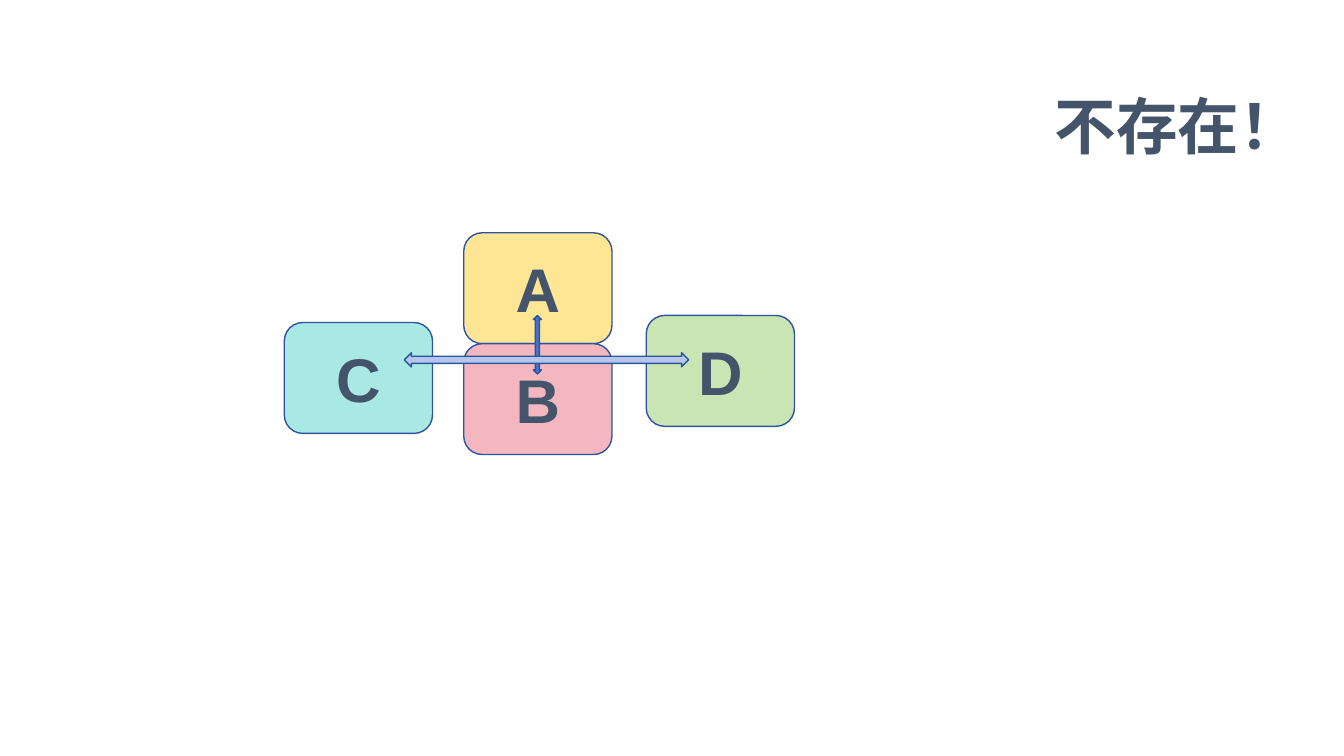
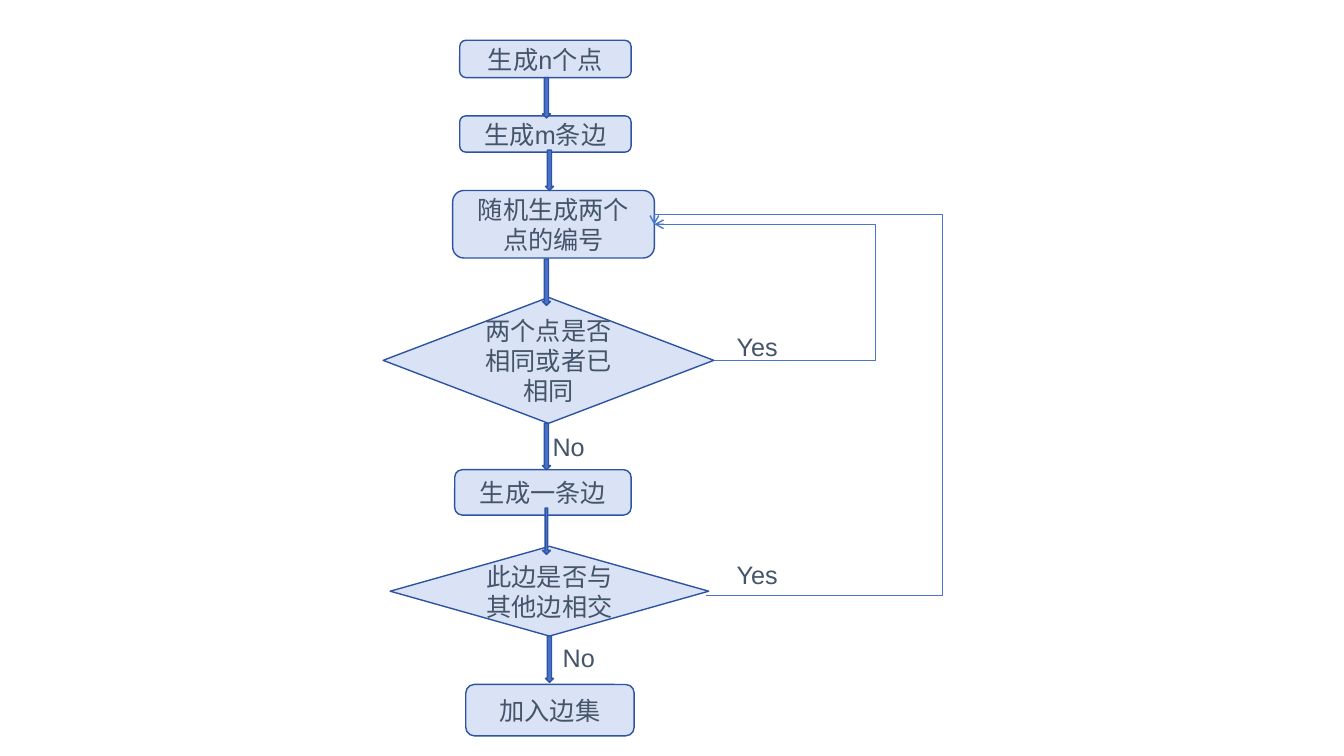
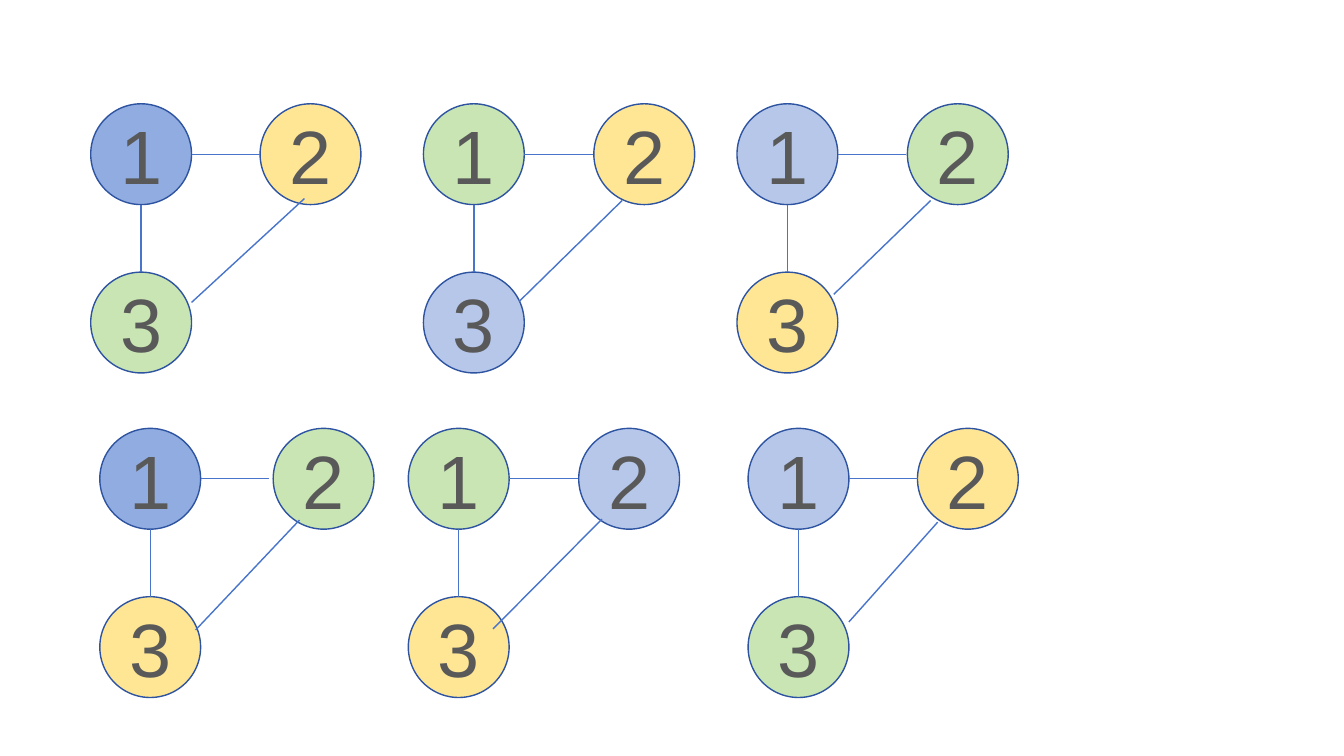
from lxml import etree
from pptx import Presentation
from pptx.dml.color import RGBColor
from pptx.enum.lang import MSO_LANGUAGE_ID
from pptx.enum.shapes import MSO_CONNECTOR, MSO_SHAPE
from pptx.enum.text import MSO_ANCHOR, MSO_AUTO_SIZE, PP_ALIGN
from pptx.oxml.ns import qn
from pptx.util import Inches, Pt

ROUNDED = MSO_SHAPE.ROUNDED_RECTANGLE
DIAMOND = MSO_SHAPE.DIAMOND
OVAL = MSO_SHAPE.OVAL
DOWN_ARROW = MSO_SHAPE.DOWN_ARROW
UP_DOWN_ARROW = MSO_SHAPE.UP_DOWN_ARROW
LEFT_RIGHT_ARROW = MSO_SHAPE.LEFT_RIGHT_ARROW
STRAIGHT = MSO_CONNECTOR.STRAIGHT
ELBOW = MSO_CONNECTOR.ELBOW
MIDDLE = MSO_ANCHOR.MIDDLE
GROW = MSO_AUTO_SIZE.SHAPE_TO_FIT_TEXT
LEFT, CENTER = PP_ALIGN.LEFT, PP_ALIGN.CENTER
CHINESE = MSO_LANGUAGE_ID.SIMPLIFIED_CHINESE
RIGHT_SITE = 3

FONT = "Arial"
COLORS = {
    "text": "44546A",
    "number": "595959",
    "outline": "2E54A1",
    "accent": "4874CB",
    "blue": "91ACE0",
    "light blue": "B6C7EA",
    "pale blue": "DAE3F5",
    "teal": "A9E9E4",
    "green": "C8E5B3",
    "yellow": "FEE695",
    "pink": "F5B7BF",
}


def add_box(page, kind, place, fill=None, text="", size=18, color="text", bold=False, align=CENTER):
    lengths = [Inches(value) for value in place]
    if kind is None:
        box = page.shapes.add_textbox(*lengths)
        box.text_frame.auto_size = GROW
    else:
        box = page.shapes.add_shape(kind, *lengths)
        box.shadow.inherit = False
        box.fill.solid()
        box.fill.fore_color.rgb = RGBColor.from_string(COLORS[fill])
        box.line.color.rgb = RGBColor.from_string(COLORS["outline"])
        box.line.width = Pt(1)
        box.text_frame.vertical_anchor = MIDDLE
    if text:
        box.text_frame.word_wrap = True
        para = box.text_frame.paragraphs[0]
        para.alignment = align
        para._p.get_or_add_pPr().set("hangingPunct", "1")
        span = para.add_run()
        span.text = text
        span.font.name = FONT
        span.font.size = Pt(size)
        span.font.bold = bold
        span.font.language_id = CHINESE
        span.font.color.rgb = RGBColor.from_string(COLORS[color])
    return box


def add_line(page, kind, start, end):
    line = page.shapes.add_connector(kind, *[Inches(value) for value in (*start, *end)])
    line.line.color.rgb = RGBColor.from_string(COLORS["accent"])
    line.line.width = Pt(1)
    etree.SubElement(line._element.spPr, qn("a:effectLst"))
    return line


deck = Presentation()
deck.slide_width = Inches(13.33)
deck.slide_height = Inches(7.5)
blank = deck.slide_layouts[6]

page = deck.slides.add_slide(blank)
blocks = [
    ("C", 2.82, 3.2, "teal"),
    ("D", 6.41, 3.13, "green"),
    ("A", 4.6, 2.31, "yellow"),
    ("B", 4.6, 3.41, "pink"),
]
for letter, left, top, fill in blocks:
    add_box(page, ROUNDED, (left, top, 1.47, 1.1), fill, letter, 44, bold=True)
add_box(page, UP_DOWN_ARROW, (5.29, 3.13, 0.08, 0.58), "accent")
add_box(page, LEFT_RIGHT_ARROW, (4.01, 3.5, 2.82, 0.14), "light blue")
add_box(page, None, (10.36, 0.82, 2.4, 0.84), text="不存在！", size=44, bold=True, align=LEFT)

page = deck.slides.add_slide(blank)
steps = [
    (ROUNDED, (4.56, 0.4, 1.7, 0.37), "生成n个点"),
    (ROUNDED, (4.56, 1.15, 1.7, 0.36), "生成m条边"),
    (ROUNDED, (4.49, 1.89, 2, 0.67), "随机生成两个点的编号"),
    (DIAMOND, (3.8, 2.95, 3.28, 1.25), "两个点是否相同或者已相同"),
    (ROUNDED, (4.51, 4.66, 1.75, 0.45), "生成一条边"),
    (DIAMOND, (3.87, 5.42, 3.16, 0.89), "此边是否与其他边相交"),
    (ROUNDED, (4.62, 6.79, 1.67, 0.51), "加入边集"),
]
step_boxes = [add_box(page, kind, place, "pale blue", text) for kind, place, text in steps]

arrows = [
    (5.38, 0.77, 0.4, 0.5),
    (5.41, 1.49, 0.4, 0.5),
    (5.38, 2.57, 0.46, 0.5),
    (5.38, 4.2, 0.46, 0.5),
    (5.38, 5.04, 0.46, 0.33),
    (5.41, 6.31, 0.46, 0.5),
]
for left, top, height, shaft in arrows:
    arrow = add_box(page, DOWN_ARROW, (left, top, 0.08, height), "accent")
    arrow.adjustments[0] = shaft

same_points = add_line(page, ELBOW, (7.09, 3.57), (6.49, 2.23))
same_points.begin_connect(step_boxes[3], RIGHT_SITE)
same_points.end_connect(step_boxes[2], RIGHT_SITE)
crossing = add_line(page, ELBOW, (7, 5.91), (6.49, 2.23))
loops = [
    (same_points, "bentConnector3", [-271600]),
    (crossing, "bentConnector4", [-460600, 102700]),
]
for loop, preset, bends in loops:
    geometry = loop._element.spPr.find(qn("a:prstGeom"))
    geometry.set("prst", preset)
    guides = geometry.find(qn("a:avLst"))
    for number, bend in enumerate(bends, 1):
        etree.SubElement(guides, qn("a:gd"), name=f"adj{number}", fmla=f"val {bend}")
    etree.SubElement(loop.line._get_or_add_ln(), qn("a:tailEnd"), type="arrow")

answers = [("No", 5.28, 4.23), ("Yes", 7.15, 3.24), ("No", 5.38, 6.32), ("Yes", 7.15, 5.5)]
for answer, left, top in answers:
    add_box(page, None, (left, top, 0.72, 0.4), text=answer)

page = deck.slides.add_slide(blank)
graphs = [
    (0.9, 1.03, 2.58, ("blue", "yellow", "green"), (3.02, 1.97), (1.9, 3)),
    (4.2, 1.03, 5.89, ("green", "yellow", "light blue"), (6.17, 1.99), (5.15, 2.99)),
    (7.31, 1.03, 9, ("light blue", "green", "yellow"), (9.23, 1.99), (8.27, 2.92)),
    (0.99, 4.25, 2.71, ("blue", "green", "yellow"), (2.97, 5.16), (1.94, 6.25)),
    (4.05, 4.25, 5.74, ("green", "light blue", "yellow"), (5.97, 5.15), (4.89, 6.24)),
    (7.42, 4.25, 9.1, ("light blue", "yellow", "green"), (9.3, 5.18), (8.42, 6.17)),
]
NODE = 1
RADIUS = NODE / 2
ACROSS = 1.68
DOWN = 1.67
for left, top, second_left, fills, start, end in graphs:
    corners = [(left, top), (second_left, top), (left, top + DOWN)]
    for number, (corner, fill) in enumerate(zip(corners, fills), 1):
        add_box(page, OVAL, (*corner, NODE, NODE), fill, str(number), 54, "number")
    add_line(page, STRAIGHT, (left + NODE, top + RADIUS), (left + ACROSS, top + RADIUS))
    add_line(page, STRAIGHT, (left + RADIUS, top + NODE), (left + RADIUS, top + DOWN))
    add_line(page, STRAIGHT, start, end)

deck.save("out.pptx")
